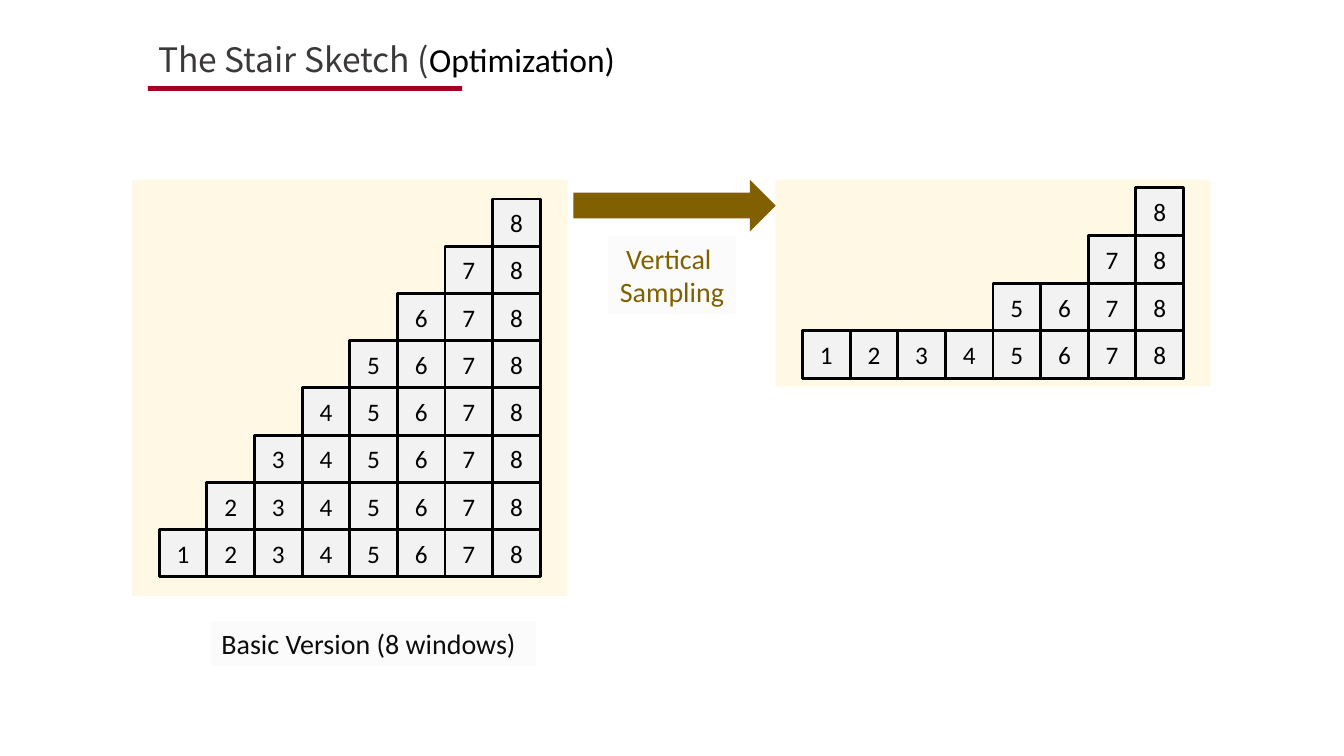
from lxml.etree import SubElement
from pptx import Presentation
from pptx.dml.color import RGBColor
from pptx.enum.shapes import MSO_SHAPE
from pptx.enum.text import MSO_ANCHOR, MSO_AUTO_SIZE, PP_ALIGN
from pptx.oxml.ns import qn
from pptx.util import Cm, Pt

BLACK = RGBColor(0x00, 0x00, 0x00)
INK = RGBColor(0x0D, 0x0D, 0x0D)
TITLE_GREY = RGBColor(0x3B, 0x38, 0x38)
CRIMSON = RGBColor(0xA5, 0x00, 0x21)
BROWN = RGBColor(0x80, 0x60, 0x00)
CREAM = RGBColor(0xFF, 0xF2, 0xCC)
PALE_GREY = RGBColor(0xF2, 0xF2, 0xF2)

TITLE = [("The Stair Sketch (", "Noto Sans CJK SC", TITLE_GREY),
         ("Optimization)", "Calibri", BLACK)]
WINDOWS = 8
CELL_W = 1.2
# panel (left, top, width, height), cell height, first window of each row from the top
STAIRS = [
    ((3.33, 4.53, 10.97, 10.49), 1.19, [8, 7, 6, 5, 4, 3, 2, 1]),
    ((19.54, 4.53, 10.97, 5.21), 1.2, [8, 7, 5, 1]),
]
# text, (left, top, width, height), colour, alignment
LABELS = [
    ("Vertical \nSampling", (15.32, 5.95, 3.23, 1.96), BROWN, PP_ALIGN.CENTER),
    ("Basic Version (8 windows)", (5.33, 15.65, 8.18, 1.12), INK, PP_ALIGN.LEFT),
]
UNDERLINE = (3.73, 2.17, 7.92, 0.12)
ARROW = (14.45, 4.53, 5.1, 1.3)


def style(r, size, color, font="Calibri"):
    r.font.size = Pt(size)
    r.font.name = font
    r.font.color.rgb = color


def fill(s, color, opacity=100):
    s.fill.solid()
    s.fill.fore_color.rgb = color
    if opacity < 100:
        clr = s._element.spPr.find(qn("a:solidFill"))[0]
        SubElement(clr, qn("a:alpha"), val=str(opacity * 1000))


def add_block(shapes, kind, box, color, opacity=100):
    """Add a flat preset shape without an outline."""
    s = shapes.add_shape(kind, *map(Cm, box))
    s.shadow.inherit = False
    fill(s, color, opacity)
    s.line.fill.background()
    return s


def add_cell(shapes, box, number):
    s = add_block(shapes, MSO_SHAPE.RECTANGLE, box, PALE_GREY)
    s.line.color.rgb = BLACK
    s.line.width = Pt(2)
    tf = s.text_frame
    tf.text = str(number)
    tf.vertical_anchor = MSO_ANCHOR.MIDDLE
    p = tf.paragraphs[0]
    p.alignment = PP_ALIGN.CENTER
    style(p.runs[0], 18, BLACK)


def add_stair(slide, panel, cell_h, first_windows):
    """Centre the rows of cells on their panel, all ending at the last window."""
    shapes = slide.shapes.add_group_shape().shapes
    add_block(shapes, MSO_SHAPE.RECTANGLE, panel, CREAM, 50)
    left, top, width, height = panel
    x0 = left + (width - WINDOWS * CELL_W) / 2
    y0 = top + (height - len(first_windows) * cell_h) / 2
    for row, first in enumerate(first_windows):
        for number in range(first, WINDOWS + 1):
            x = x0 + (number - 1) * CELL_W
            add_cell(shapes, (x, y0 + row * cell_h, CELL_W, cell_h), number)


def add_label(slide, text, box, color, alignment):
    s = slide.shapes.add_textbox(*map(Cm, box))
    fill(s, PALE_GREY, 25)
    tf = s.text_frame
    tf.text = text
    tf.word_wrap = False
    tf.auto_size = MSO_AUTO_SIZE.SHAPE_TO_FIT_TEXT
    for p in tf.paragraphs:
        p.alignment = alignment
        style(p.runs[0], 20, color)


def add_title(slide):
    s = slide.shapes.title
    s.left, s.top, s.width, s.height = map(Cm, (3.73, 0.86, 25.73, 1.27))
    tf = s.text_frame
    tf.auto_size = MSO_AUTO_SIZE.NONE
    tf.vertical_anchor = MSO_ANCHOR.MIDDLE
    p = tf.paragraphs[0]
    p.alignment = PP_ALIGN.LEFT
    for text, font, color in TITLE:
        r = p.add_run()
        r.text = text
        style(r, 24, color, font)


def main():
    prs = Presentation()
    prs.slide_width, prs.slide_height = Cm(33.87), Cm(19.05)
    slide = prs.slides.add_slide(prs.slide_layouts[5])
    add_title(slide)
    add_block(slide.shapes, MSO_SHAPE.RECTANGLE, UNDERLINE, CRIMSON)
    for stair in STAIRS:
        add_stair(slide, *stair)
    add_block(slide.shapes, MSO_SHAPE.RIGHT_ARROW, ARROW, BROWN)
    for label in LABELS:
        add_label(slide, *label)
    prs.save("out.pptx")


if __name__ == "__main__":
    main()
